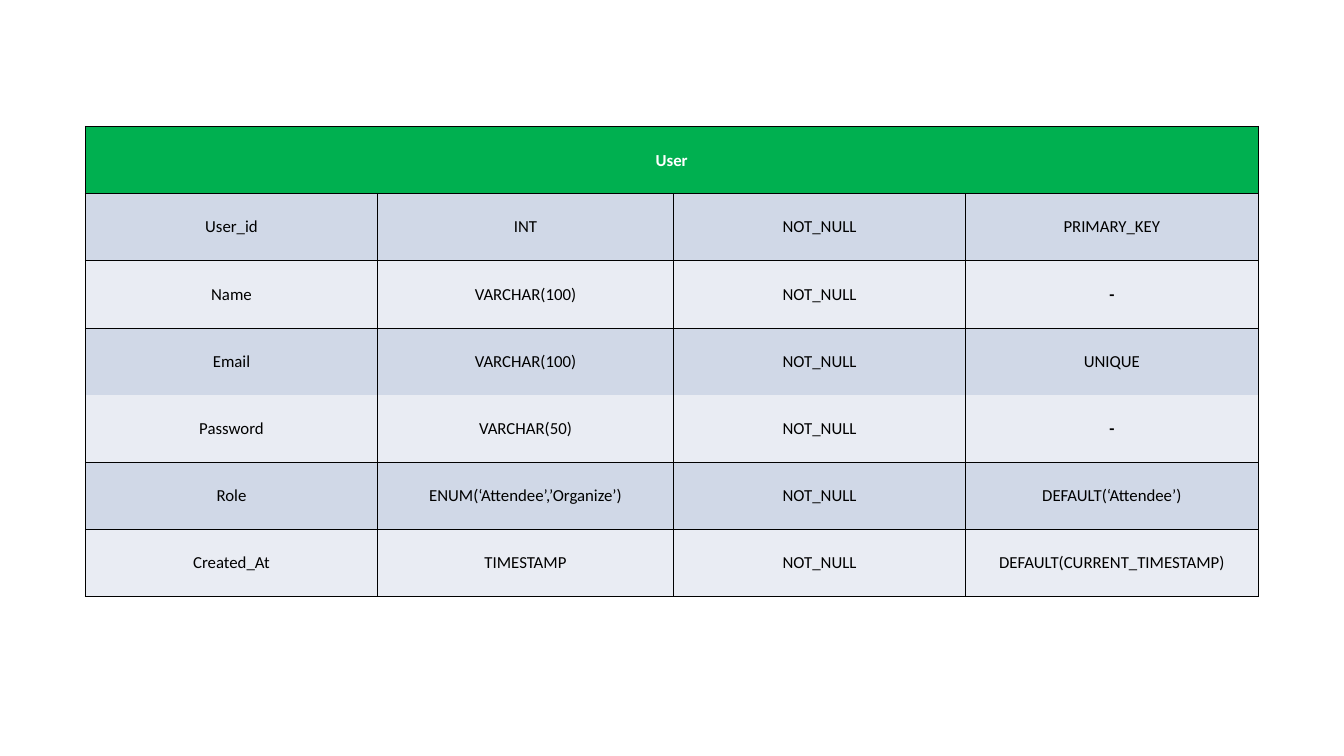
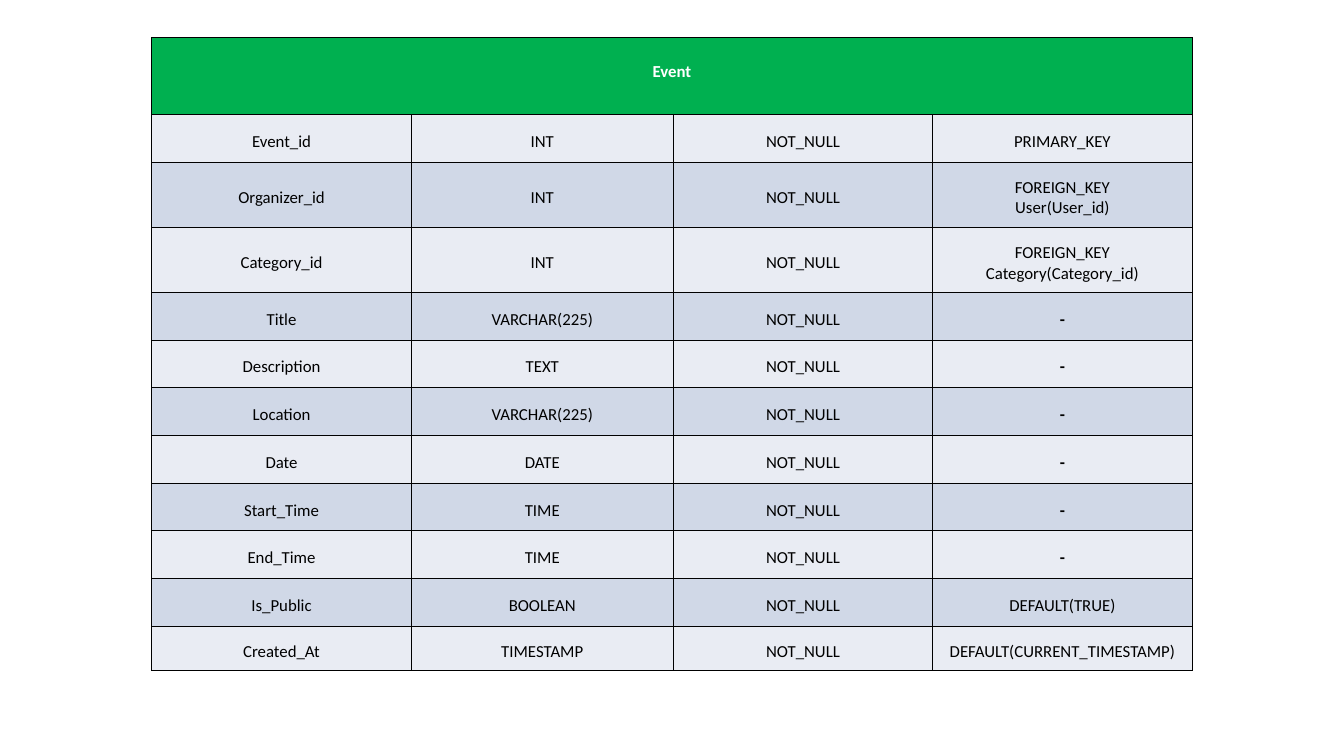
from dataclasses import dataclass
from lxml.etree import SubElement as Sub
from pptx import Presentation
from pptx.dml.color import RGBColor as RGB
from pptx.enum.text import MSO_ANCHOR as Anchor, PP_ALIGN as Align
from pptx.oxml.ns import qn
from pptx.util import Pt

PX = 9144


@dataclass
class Theme:
    head: str = "00B050"
    dark: str = "D0D8E7"
    light: str = "E9ECF3"
    ink: str = "000000"
    white: str = "FFFFFF"
    font: str = "Calibri"
    size: int = 18
    line: float = 0.96


look = Theme()


def write(cell, text, color=look.ink, bold=False, gap=None):
    frame = cell.text_frame
    frame.text = text
    for para in frame.paragraphs:
        para.alignment = Align.CENTER
        para.line_spacing = gap
        for run in para.runs:
            font = run.font
            font.name, font.size, font.bold = look.font, Pt(look.size), bold
            font.color.rgb = RGB.from_string(color)


def paint(cell, fill, skip=""):
    props = cell._tc.get_or_add_tcPr()
    for side in "LRTB":
        line = Sub(props, qn(f"a:ln{side}"), w=str(Pt(look.line)))
        if side == skip:
            Sub(line, qn("a:noFill"))
        else:
            ink = Sub(line, qn("a:solidFill"))
            Sub(ink, qn("a:srgbClr"), val=look.ink)
    cell.fill.solid()
    cell.fill.fore_color.rgb = RGB.from_string(fill)


user = [
    ("User_id", "INT", "PRIMARY_KEY"),
    ("Name", "VARCHAR(100)", "-"),
    ("Email", "VARCHAR(100)", "UNIQUE"),
    ("Password", "VARCHAR(50)", "-"),
    ("Role", "ENUM(‘Attendee’,’Organize’)", "DEFAULT(‘Attendee’)"),
    ("Created_At", "TIMESTAMP", "DEFAULT(CURRENT_TIMESTAMP)"),
]
event = [
    ("Event_id", "INT", "PRIMARY_KEY"),
    ("Organizer_id", "INT", "FOREIGN_KEY\nUser(User_id)"),
    ("Category_id", "INT", "FOREIGN_KEY\nCategory(Category_id)"),
    ("Title", "VARCHAR(225)", "-"),
    ("Description", "TEXT", "-"),
    ("Location", "VARCHAR(225)", "-"),
    ("Date", "DATE", "-"),
    ("Start_Time", "TIME", "-"),
    ("End_Time", "TIME", "-"),
    ("Is_Public", "BOOLEAN", "DEFAULT(TRUE)"),
    ("Created_At", "TIMESTAMP", "DEFAULT(CURRENT_TIMESTAMP)"),
]
tables = [
    ("User", user, (127, 188), (435, 440, 435, 435), [100] * 7, 0,
     (look.dark, look.light), {"Email": "B", "Password": "T"}),
    ("Event", event, (226, 56), (386, 390, 386, 386),
     [114, 71, 97, 97] + [71] * 7 + [66], 10,
     (look.light, look.dark), {}),
]

deck = Presentation()
deck.slide_width, deck.slide_height = 2000 * PX, 1125 * PX

for name, fields, (left, top), wide, high, inset, bands, open_sides in tables:
    slide = deck.slides.add_slide(deck.slide_layouts[6])
    grid = slide.shapes.add_table(
        len(high), len(wide), left * PX, top * PX,
        sum(wide) * PX, sum(high) * PX).table
    grid.horz_banding = False
    for col, width in zip(grid.columns, wide):
        col.width = width * PX
    for row, height in zip(grid.rows, high):
        row.height = height * PX

    head = grid.cell(0, 0)
    head.merge(grid.cell(0, len(wide) - 1))
    for cell in grid.rows[0].cells:
        paint(cell, look.head)
    write(head, name, color=look.white, bold=True, gap=2.0)

    for r, (field, kind, rule) in enumerate(fields, 1):
        for c, text in enumerate((field, kind, "NOT_NULL", rule)):
            cell = grid.cell(r, c)
            cell.vertical_anchor = Anchor.MIDDLE
            cell.margin_left = cell.margin_right = cell.margin_bottom = 0
            cell.margin_top = inset * PX
            paint(cell, bands[(r - 1) % 2], open_sides.get(field, ""))
            write(cell, text, bold=text == "-")

deck.save("out.pptx")
